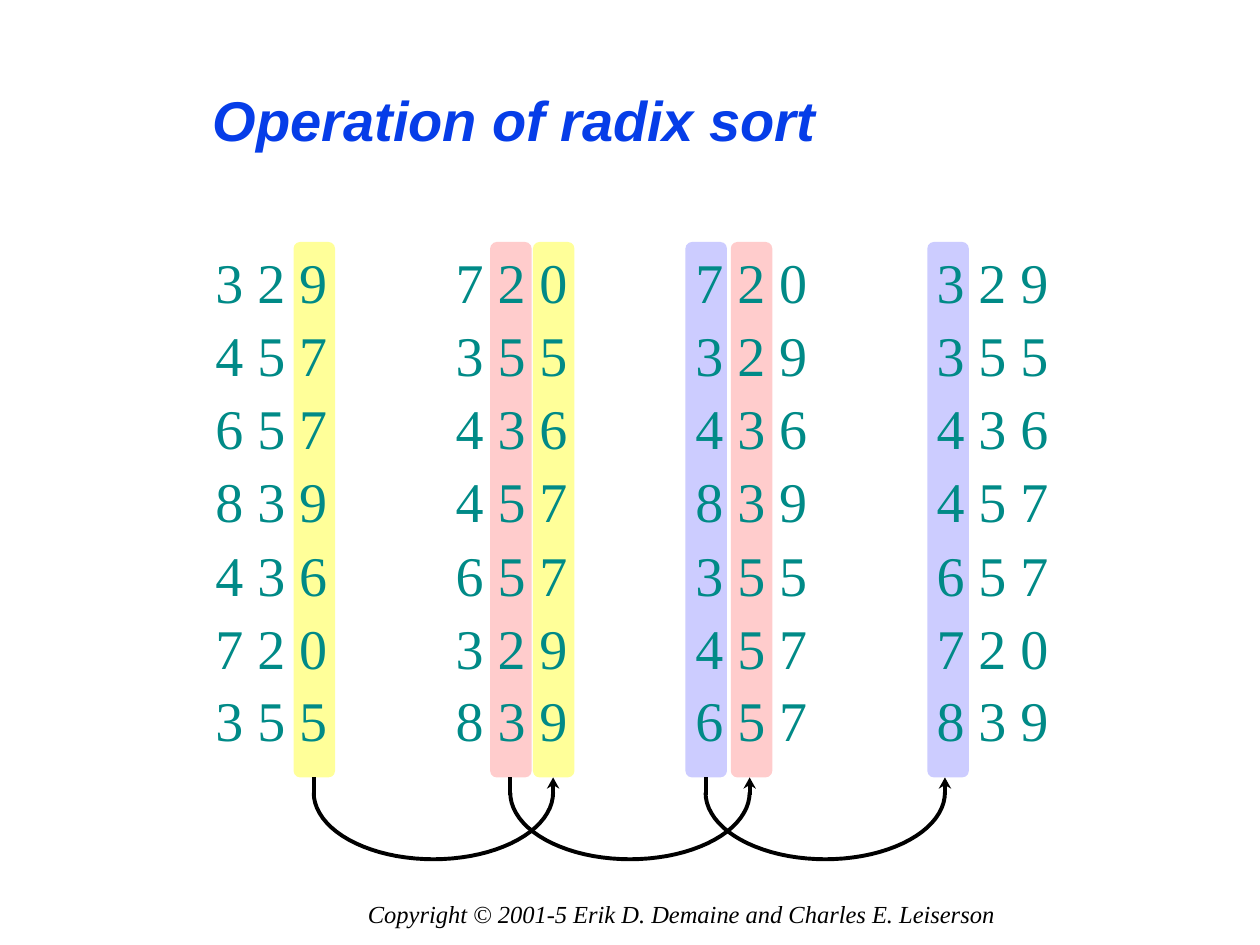
import math

from pptx import Presentation
from pptx.dml.color import RGBColor
from pptx.enum.shapes import MSO_SHAPE
from pptx.enum.text import MSO_ANCHOR, PP_ALIGN
from pptx.oxml.ns import qn
from pptx.util import Inches, Pt

LEFT, CENTER, RIGHT = PP_ALIGN.LEFT, PP_ALIGN.CENTER, PP_ALIGN.RIGHT
TOP, MIDDLE = MSO_ANCHOR.TOP, MSO_ANCHOR.MIDDLE
ROUNDED = MSO_SHAPE.ROUNDED_RECTANGLE

BLUE = RGBColor(0x06, 0x3D, 0xE8)
TEAL = RGBColor(0x00, 0x8A, 0x87)
BLACK = RGBColor(0x00, 0x00, 0x00)
YELLOW = RGBColor(0xFF, 0xFF, 0x99)
PINK = RGBColor(0xFF, 0xCC, 0xCC)
LAVENDER = RGBColor(0xCC, 0xCC, 0xFF)

NO_GRID_STYLE = "{2D5ABB26-0587-4C30-8999-92F81FD0307C}"
BAR_WIDTH = 0.33
BARS = [(2.33, YELLOW), (3.89, PINK), (4.23, YELLOW), (5.44, LAVENDER),
        (5.8, PINK), (7.36, LAVENDER)]
ARROW_STARTS = [2.49, 4.05, 5.6]
PASSES = [
    ["329", "457", "657", "839", "436", "720", "355"],
    ["720", "355", "436", "457", "657", "329", "839"],
    ["720", "329", "436", "839", "355", "457", "657"],
    ["329", "355", "436", "457", "657", "720", "839"],
]
COLUMN_FORMATS = [(1.43, LEFT, 0.03, 0), (1.9, CENTER, 0, 0),
                  (1.91, LEFT, 0.51, 0), (1.43, RIGHT, 0, 0.03)]


def write_text(frame, text, size, color, font="Times New Roman", bold=False,
               italic=False, align=LEFT, line_spacing=None, tracking=-5):
    """Write one formatted paragraph into a text frame."""
    paragraph = frame.paragraphs[0]
    paragraph.alignment = align
    if line_spacing:
        paragraph.line_spacing = Pt(line_spacing)
    run = paragraph.add_run()
    run.text = text
    run.font.name = font
    run.font.size = Pt(size)
    run.font.bold = bold
    run.font.italic = italic
    run.font.color.rgb = color
    run.font._element.set("spc", str(tracking))


def set_frame(frame, anchor, left=0, top=0):
    """Make a text frame wrap with no right or bottom margin."""
    frame.word_wrap = True
    frame.vertical_anchor = anchor
    frame.margin_left, frame.margin_top = Inches(left), Inches(top)
    frame.margin_right = frame.margin_bottom = 0


def place_title(slide, left, top, width, height):
    """Move and format the title placeholder."""
    title = slide.shapes.title
    title.left, title.top = Inches(left), Inches(top)
    title.width, title.height = Inches(width), Inches(height)
    set_frame(title.text_frame, MIDDLE, left=0.02, top=0.01)
    write_text(title.text_frame, "Operation of radix sort", size=32,
               color=BLUE, font="Arial", bold=True, italic=True)


def add_digit_bars(slide, top, height):
    """Draw the coloured bars behind the digits being sorted."""
    for left, color in BARS:
        bar = slide.shapes.add_shape(ROUNDED, Inches(left), Inches(top),
                                     Inches(BAR_WIDTH), Inches(height))
        bar.adjustments[0] = 0.16
        bar.shadow.inherit = False
        bar.fill.solid()
        bar.fill.fore_color.rgb = color
        bar.line.fill.background()


def add_number_table(slide, left, top, width, height):
    """Add the table with one column for each state of the list."""
    row_count = len(PASSES[0])
    table = slide.shapes.add_table(row_count, len(PASSES), Inches(left), Inches(top),
                                   Inches(width), Inches(height)).table
    table.first_row = table.horz_banding = False
    table._tbl.tblPr.find(qn("a:tableStyleId")).text = NO_GRID_STYLE
    for index, row in enumerate(table.rows):
        row.height = Inches(0.54 if index in (0, row_count - 1) else 0.58)
    line_spacings = [34.9] + [38] * (row_count - 2) + [37.6]
    for column, (numbers, style) in enumerate(zip(PASSES, COLUMN_FORMATS)):
        column_width, align, margin_left, margin_right = style
        table.columns[column].width = Inches(column_width)
        for row, number in enumerate(numbers):
            cell = table.cell(row, column)
            cell.fill.background()
            cell.margin_left, cell.margin_right = Inches(margin_left), Inches(margin_right)
            cell.margin_top = cell.margin_bottom = 0
            write_text(cell.text_frame, " ".join(number), size=32, color=TEAL,
                       align=align, line_spacing=line_spacings[row])


def add_outline(slide, points, filled=False):
    """Draw a black line through points, or a filled black polygon."""
    corners = [(Inches(x), Inches(y)) for x, y in points]
    builder = slide.shapes.build_freeform(*corners[0])
    builder.add_line_segments(corners[1:], close=filled)
    shape = builder.convert_to_shape()
    shape.shadow.inherit = False
    if filled:
        shape.fill.solid()
        shape.fill.fore_color.rgb = BLACK
        shape.line.fill.background()
    else:
        shape.fill.background()
        shape.line.color.rgb = BLACK
        shape.line.width = Pt(2.25)


def add_pass_arrow(slide, left, top, width, height, stem=0.12, steps=40):
    """Draw a U-shaped arrow from the left to the right of its box."""
    right, radius, depth = left + width, width / 2, height - stem
    notch, stem_end = top + 0.06, top + stem + 0.02
    half_head, head_height = 0.05, 0.09
    angles = [math.pi * step / steps for step in range(steps + 1)]
    add_outline(slide, [(right, stem_end), (right, notch)])
    add_outline(slide, [(right, top), (right - half_head, top + head_height),
                        (right, notch), (right + half_head, top + head_height)],
                filled=True)
    add_outline(slide, [(left + radius * (1 + math.cos(angle)),
                         top + stem + depth * math.sin(angle)) for angle in angles])
    add_outline(slide, [(left, stem_end), (left, top)])


def add_copyright(slide, left, top, width, height):
    """Add the copyright line."""
    box = slide.shapes.add_textbox(Inches(left), Inches(top), Inches(width), Inches(height))
    set_frame(box.text_frame, TOP, left=0.01)
    write_text(box.text_frame,
               "Copyright © 2001-5 Erik D. Demaine and Charles E. Leiserson",
               size=14, color=BLACK, italic=True, line_spacing=16.2, tracking=-3)


def main():
    """Build the slide and save the presentation."""
    presentation = Presentation()
    presentation.slide_width, presentation.slide_height = Inches(10), Inches(7.5)
    slide = presentation.slides.add_slide(presentation.slide_layouts[5])
    place_title(slide, 1.67, 0.56, 6.09, 0.76)
    add_digit_bars(slide, 1.92, 4.25)
    add_number_table(slide, 1.68, 2.02, 6.67, 3.98)
    for left in ARROW_STARTS:
        add_pass_arrow(slide, left, 6.17, 1.9, 0.65)
    add_copyright(slide, 2.91, 7.14, 5.01, 0.24)
    presentation.save("out.pptx")


if __name__ == "__main__":
    main()
